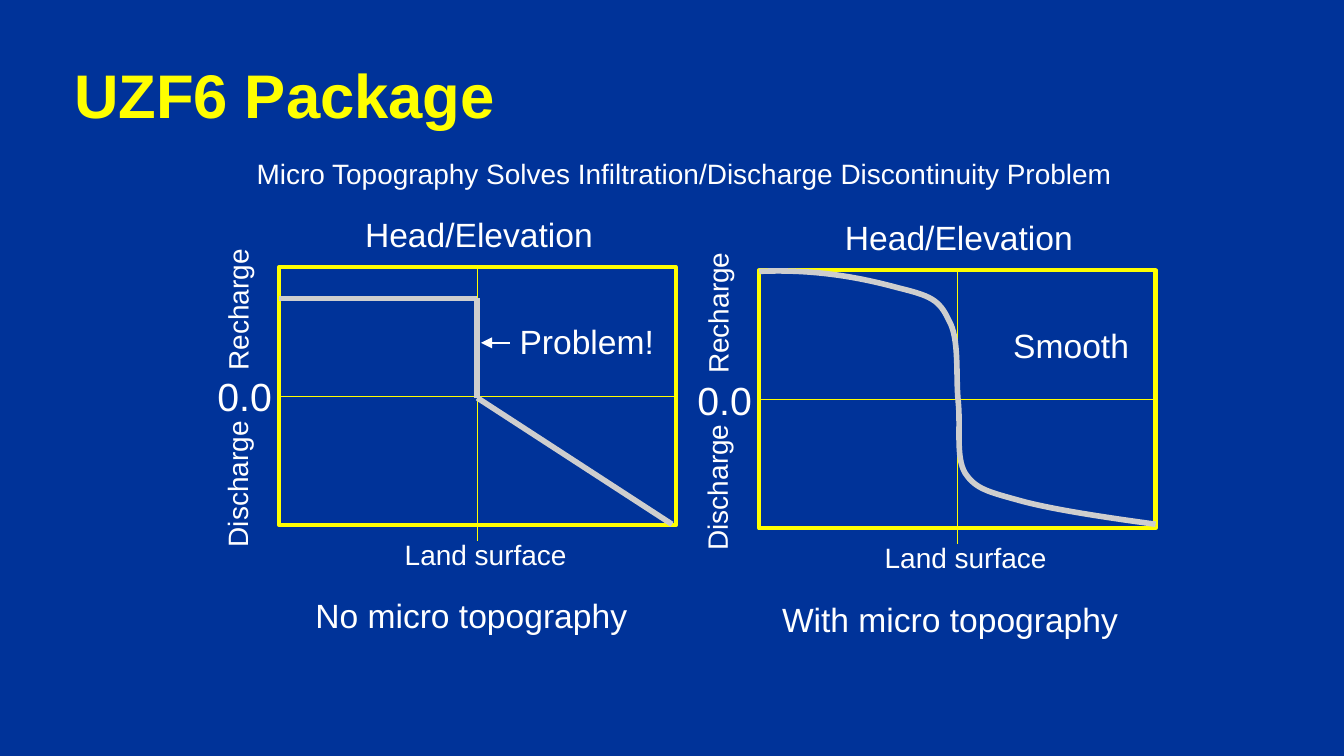
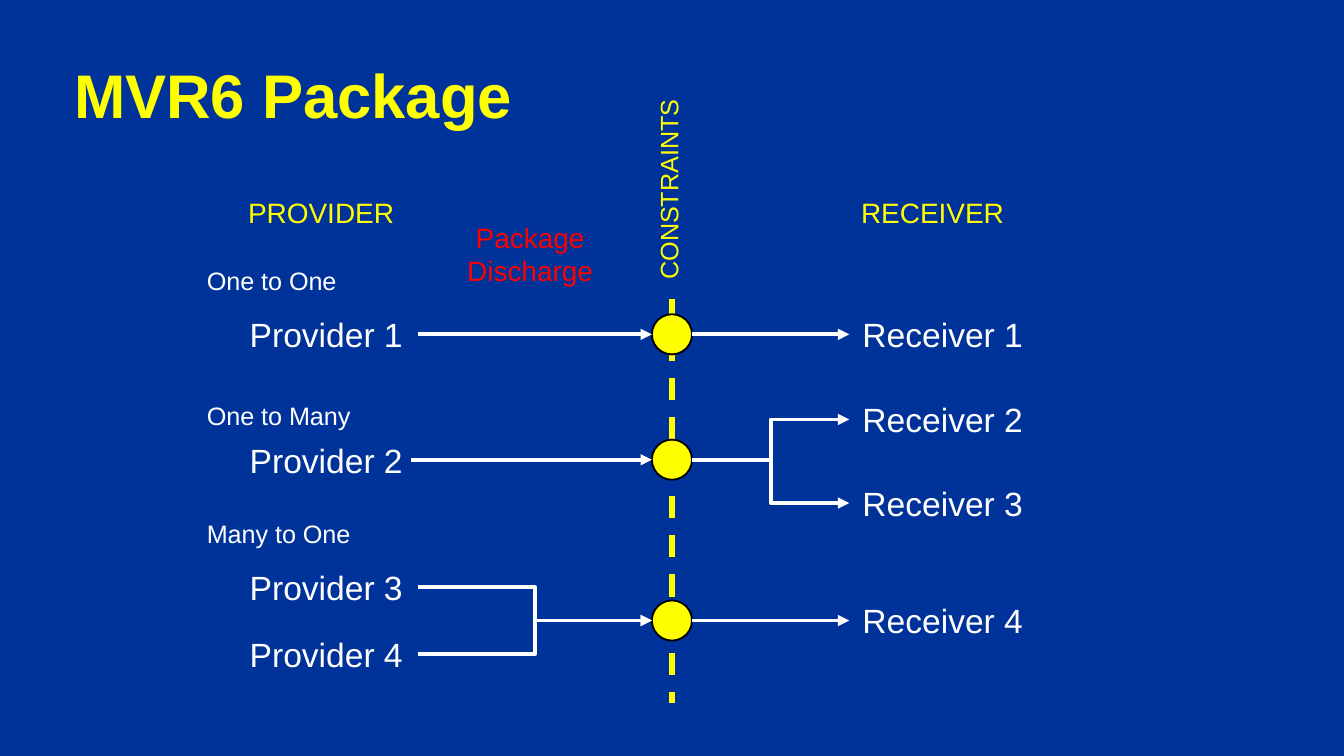
"""Build two slides on the UZF6 and MVR6 packages."""
import dataclasses
import itertools

import lxml.etree
import pptx
import pptx.dml.color
import pptx.enum.dml
import pptx.enum.shapes
import pptx.enum.text
import pptx.oxml.ns
import pptx.util

Cm = pptx.util.Cm
qn = pptx.oxml.ns.qn
RGB = pptx.dml.color.RGBColor.from_string
ALIGN = pptx.enum.text.PP_ALIGN
CONNECTOR = pptx.enum.shapes.MSO_CONNECTOR
SHAPE = pptx.enum.shapes.MSO_SHAPE


@dataclasses.dataclass(frozen=True)
class Theme:
    font: str = "Arial"
    background: RGB = RGB("003399")
    accent: RGB = RGB("FFFF00")
    text: RGB = RGB("FFFFFF")
    curve: RGB = RGB("CECECE")
    warning: RGB = RGB("FF0000")
    outline: RGB = RGB("000000")
    title_size: float = 33
    zero_size: float = 21
    label_size: float = 18
    note_size: float = 15
    small_size: float = 13.5


theme = Theme()


def add_text(slide, text, left, top, width, height, size=theme.label_size, color=theme.text,
             align=ALIGN.LEFT, rotation=0, vertical=None, bold=False, spacing=None, shape=None):
    box = (Cm(left), Cm(top), Cm(width), Cm(height))
    if shape is None:
        shape = slide.shapes.add_textbox(*box)
        shape.text_frame.word_wrap = False
    shape.left, shape.top, shape.width, shape.height = box
    shape.rotation = rotation
    frame = shape.text_frame
    frame.auto_size = pptx.enum.text.MSO_AUTO_SIZE.SHAPE_TO_FIT_TEXT
    if vertical:
        frame._txBody.bodyPr.set("vert", vertical)
    frame.text = text
    for paragraph in frame.paragraphs:
        paragraph.alignment = align
        paragraph.line_spacing = spacing
        paragraph.font.name = theme.font
        paragraph.font.size = pptx.util.Pt(size)
        paragraph.font.bold = bold
        paragraph.font.color.rgb = color
    return shape


def add_line(slide, start, end, color=theme.text, width=2, arrow=False, dash=None,
             kind=CONNECTOR.STRAIGHT):
    connector = slide.shapes.add_connector(kind, *map(Cm, start + end))
    connector.line.color.rgb = color
    connector.line.width = pptx.util.Pt(width)
    if dash:
        connector.line.dash_style = dash
    if arrow:
        lxml.etree.SubElement(connector.line._get_or_add_ln(), qn("a:tailEnd"), type="triangle")
    lxml.etree.SubElement(connector._element.spPr, qn("a:effectLst"))
    return connector


presentation = pptx.Presentation()
presentation.slide_width, presentation.slide_height = Cm(25.4), Cm(14.29)
master_fill = presentation.slide_master.background.fill
master_fill.solid()
master_fill.fore_color.rgb = theme.background

slides = []
for title in ("UZF6 Package", "MVR6 Package"):
    slide = presentation.slides.add_slide(presentation.slide_layouts[5])
    shape = add_text(slide, title, 1.27, 1.04, 22.86, 1.6, size=theme.title_size,
                     color=theme.accent, bold=True, spacing=0.95, shape=slide.shapes.title)
    frame = shape.text_frame
    frame.vertical_anchor = pptx.enum.text.MSO_ANCHOR.MIDDLE
    frame.margin_left = frame.margin_right = frame.margin_top = frame.margin_bottom = Cm(0.13)
    slides.append(slide)
topography_slide, mover_slide = slides

panel_width, panel_height = 7.49, 4.88
panels = [
    (5.28, 5.05, ("Problem!", 4.29, 3.07), ("No micro topography", 0.43, 6.63)),
    (14.35, 5.11, ("Smooth", 4.55, 2.72), ("With micro topography", 0.18, 7.11)),
]
axis_labels = [
    ("Head/Elevation", 1.37, -1.13, 4.85, 1.02, theme.label_size, 0),
    ("Land surface", 2.12, 4.98, 3.61, 0.89, theme.note_size, 0),
    ("Discharge", -2.26, 3.64, 2.92, 0.89, theme.note_size, 270),
    ("Recharge", -2.21, 0.34, 2.84, 0.89, theme.note_size, 270),
    ("0.0", -1.42, 1.87, 1.55, 1.14, theme.zero_size, 0),
]
for left, top, remark, caption in panels:
    panel = topography_slide.shapes.add_shape(
        SHAPE.RECTANGLE, Cm(left), Cm(top), Cm(panel_width), Cm(panel_height))
    panel.shadow.inherit = False
    panel.fill.background()
    panel.line.color.rgb = theme.accent
    panel.line.width = pptx.util.Pt(2.25)

    center, middle = left + panel_width / 2, top + panel_height / 2
    land_surface = add_line(topography_slide, (center, top), (center, top + 5.17),
                            color=theme.accent, width=0.75)
    land_surface.begin_connect(panel, 0)
    zero_line = add_line(topography_slide, (left, middle), (left + panel_width, middle),
                         color=theme.accent, width=0.75)
    zero_line.begin_connect(panel, 1)
    zero_line.end_connect(panel, 3)

    for text, across, down, width, height, size, rotation in axis_labels:
        add_text(topography_slide, text, left + across, top + down, width, height,
                 size=size, rotation=rotation)
    for (text, across, width), down in ((remark, 0.9), (caption, 6.08)):
        add_text(topography_slide, text, left + across, top + down, width, 1.02)

step_points = [(5.28, 5.64), (9.02, 5.64), (9.02, 7.52), (12.7, 9.91)]
for start, end in itertools.pairwise(step_points):
    add_line(topography_slide, start, end, color=theme.curve, width=3)
add_line(topography_slide, (9.63, 6.48), (9.09, 6.48), width=0.75, arrow=True)

curve_points = [
    (14.35, 5.13),
    (15.49, 5.08), (16.38, 5.28), (16.97, 5.44),
    (17.58, 5.59), (17.75, 5.66), (17.93, 6.05),
    (18.14, 6.4), (18.06, 7.11), (18.11, 7.59),
    (18.16, 8.08), (18.06, 8.64), (18.24, 8.94),
    (18.44, 9.25), (18.69, 9.3), (19.3, 9.47),
    (19.89, 9.63), (20.88, 9.78), (21.84, 9.91),
]
curve_start, *curve_controls = [(Cm(x), Cm(y)) for x, y in curve_points]
builder = topography_slide.shapes.build_freeform(*curve_start)
builder.add_line_segments(curve_controls, close=False)
smooth_curve = builder.convert_to_shape()
smooth_curve.shadow.inherit = False
smooth_curve.fill.background()
smooth_curve.line.color.rgb = theme.curve
smooth_curve.line.width = pptx.util.Pt(3)
outline = next(smooth_curve._element.iter(qn("a:path")))
segments = outline.findall(qn("a:lnTo"))
for first in range(0, len(segments), 3):
    bezier = lxml.etree.SubElement(outline, qn("a:cubicBezTo"))
    for segment in segments[first:first + 3]:
        bezier.append(segment[0])
        outline.remove(segment)

add_text(topography_slide,
         "Micro Topography Solves Infiltration/Discharge Discontinuity Problem",
         4.6, 2.84, 16.87, 0.89, size=theme.note_size)

row_one, row_two, row_three = rows = (6.32, 8.69, 11.73)
provider_right, receiver_left = 7.9, 16.05
dot_size, dot_center = 0.76, 12.7
dot_left, dot_right = dot_center - dot_size / 2, dot_center + dot_size / 2
provider_middles = (row_one, 8.71, 11.1, 12.37)
receiver_middles = (row_one, 7.93, 9.51, row_three)

add_line(mover_slide, (dot_center, 5.66), (dot_center, 13.28), color=theme.accent, width=3,
         dash=pptx.enum.dml.MSO_LINE.DASH)

headings = [
    ("Package\nDischarge", 8.56, 4.04, 2.92, 1.55, theme.note_size, theme.warning, None),
    ("RECEIVER", 16, 3.58, 3.25, 0.89, theme.note_size, theme.accent, None),
    ("PROVIDER", 4.42, 3.58, 3.3, 0.89, theme.note_size, theme.accent, None),
    ("CONSTRAINTS", 12.22, 1.73, 1.09, 3.71, theme.small_size, theme.accent, "vert270"),
]
for text, left, top, width, height, size, color, vertical in headings:
    add_text(mover_slide, text, left, top, width, height, size=size, color=color,
             align=ALIGN.CENTER, vertical=vertical)

for text, top, width in (("One to One", 4.9, 3), ("One to Many", 7.44, 3.28),
                         ("Many to One", 9.68, 3.28)):
    add_text(mover_slide, text, 3.66, top, width, 0.84, size=theme.small_size)

providers = [add_text(mover_slide, f"Provider {number}", 4.47, middle - 0.51, 3.43, 1.02)
             for number, middle in enumerate(provider_middles, 1)]
receivers = [add_text(mover_slide, f"Receiver {number}", receiver_left, middle - 0.51, 3.58, 1.02)
             for number, middle in enumerate(receiver_middles, 1)]

for row in rows:
    dot = mover_slide.shapes.add_shape(
        SHAPE.OVAL, Cm(dot_left), Cm(row - dot_size / 2), Cm(dot_size), Cm(dot_size))
    dot.shadow.inherit = False
    dot.fill.solid()
    dot.fill.fore_color.rgb = theme.accent
    dot.line.color.rgb = theme.outline
    dot.line.width = pptx.util.Pt(1)

first_link = add_line(mover_slide, (provider_right, row_one), (dot_left, row_one), arrow=True)
first_link.begin_connect(providers[0], 3)
add_line(mover_slide, (7.77, row_two), (dot_left, row_two), arrow=True)
for middle in provider_middles[2:]:
    add_line(mover_slide, (provider_right, middle), (dot_left, row_three), arrow=True,
             kind=CONNECTOR.ELBOW)
for middle in receiver_middles[1:3]:
    add_line(mover_slide, (dot_right, row_two), (receiver_left, middle), arrow=True,
             kind=CONNECTOR.ELBOW)
for row, receiver in ((row_one, receivers[0]), (row_three, receivers[3])):
    link = add_line(mover_slide, (dot_right, row), (receiver_left, row), arrow=True)
    link.end_connect(receiver, 1)

presentation.save("out.pptx")
